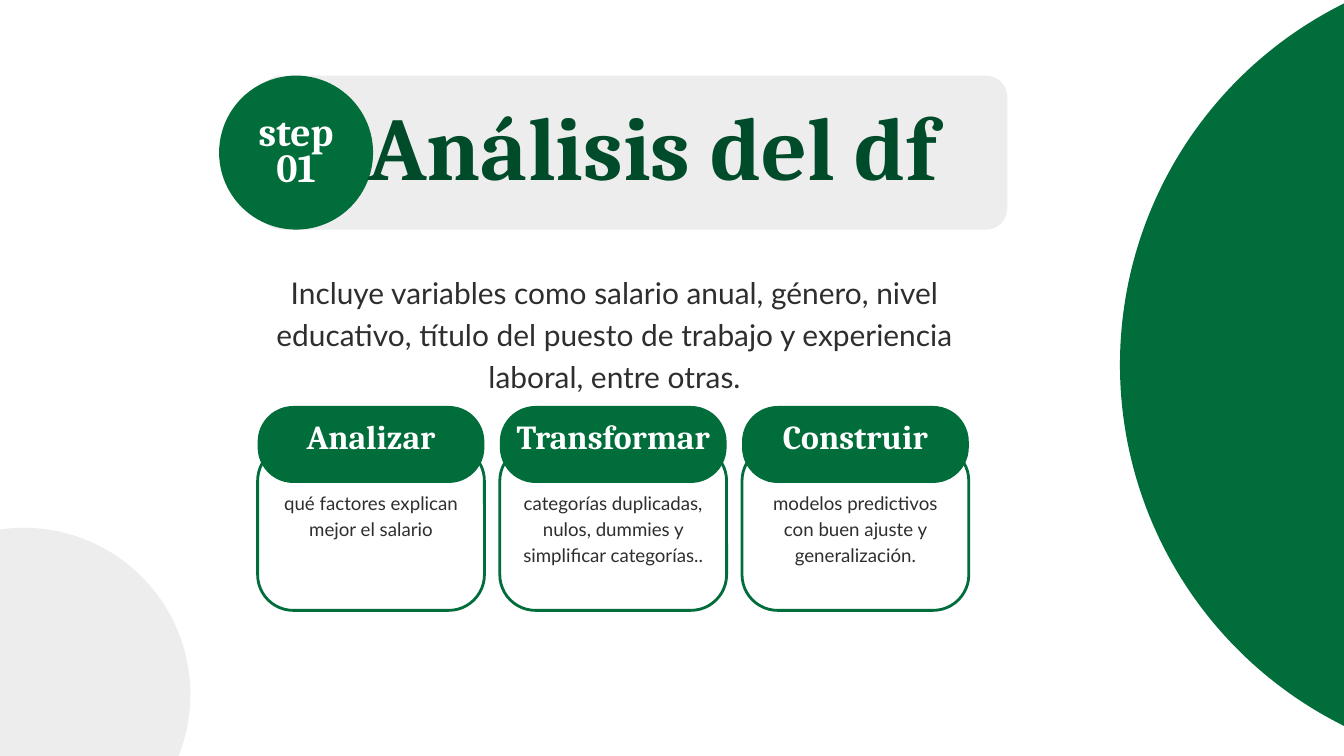
from pptx import Presentation
from pptx.dml.color import RGBColor
from pptx.enum.shapes import MSO_SHAPE as Shape
from pptx.enum.text import MSO_ANCHOR as Anchor, MSO_AUTO_SIZE as AutoSize, PP_ALIGN as Align
from pptx.util import Emu, Pt

STEP = "step 01"
TITLE = "Análisis del df"
INTRO = ("Incluye variables como salario anual, género, nivel educativo, "
         "título del puesto de trabajo y experiencia laboral, entre otras.")
CARDS = [
    {"heading": "Analizar", "detail": "qué factores explican mejor el salario", "measure": 251},
    {"heading": "Transformar", "detail": "categorías duplicadas, nulos, dummies y simplificar categorías..",
     "measure": 289},
    {"heading": "Construir", "detail": "modelos predictivos con buen ajuste y generalización.", "measure": 251},
]


class Theme:
    green, dark_green, grey, ink, white = "006D3B", "004B29", "EDEDED", "2E2E2E", "FFFFFF"
    serif, sans = "Cambria", "Lato"
    title = {"size": 96, "leading": 86.4, "color": dark_green, "font": serif, "bold": True}
    step = {"size": 42.6, "leading": 38.4, "color": white, "font": serif, "bold": True}
    heading = {"size": 36, "leading": 50.4, "color": white, "font": serif, "bold": True}
    intro = {"size": 32, "leading": 44.8, "color": ink, "font": sans}
    detail = {"size": 20, "leading": 28, "color": ink, "font": sans}
    outline = 3


EMU_PER_PX = 9525
CARD_LEFT, CARD_WIDTH, CARD_PITCH, CARD_RADIUS = 368, 324, 346, 51


def px(*lengths):
    return [Emu(round(length * EMU_PER_PX)) for length in lengths]


def add_panel(slide, kind, box, fill, radius=None, outline=None):
    panel = slide.shapes.add_shape(kind, *px(*box))
    panel.shadow.inherit = False
    panel.fill.solid()
    panel.fill.fore_color.rgb = RGBColor.from_string(fill)
    if radius:
        panel.adjustments[0] = min(0.5, radius / min(box[2:]))
    if outline:
        panel.line.color.rgb = RGBColor.from_string(outline)
        panel.line.width = Pt(Theme.outline)
    else:
        panel.line.fill.background()
    return panel


def write_text(slide, text, box, *, size, leading, color, font, bold=False,
               anchor=Anchor.TOP, holder=None):
    if holder is None:
        holder = slide.shapes.add_textbox(*px(*box))
    else:
        holder.left, holder.top, holder.width, holder.height = px(*box)
    frame = holder.text_frame
    frame.word_wrap = True
    frame.auto_size = AutoSize.NONE
    frame.vertical_anchor = anchor
    frame.margin_left = frame.margin_right = frame.margin_top = frame.margin_bottom = 0
    paragraph = frame.paragraphs[0]
    paragraph.text = text
    paragraph.alignment = Align.CENTER
    paragraph.space_before = Pt(0)
    paragraph.line_spacing = Pt(leading)
    paragraph.font.name = font
    paragraph.font.size = Pt(size)
    paragraph.font.bold = bold
    paragraph.font.color.rgb = RGBColor.from_string(color)


def add_header(slide):
    add_panel(slide, Shape.ROUNDED_RECTANGLE, (371, 108, 1068, 220), Theme.grey, radius=30)
    badge = add_panel(slide, Shape.OVAL, (313, 108, 220, 220), Theme.green)
    title = slide.shapes.title
    badge.element.addnext(title.element)
    write_text(slide, STEP, (353, 170, 140, 108), **Theme.step)
    write_text(slide, TITLE, (490, 168, 884, 127), holder=title, **Theme.title)


def add_card(slide, left, heading, detail, measure):
    add_panel(slide, Shape.ROUNDED_RECTANGLE, (left, 636, CARD_WIDTH, 236), Theme.white,
              radius=CARD_RADIUS, outline=Theme.green)
    write_text(slide, detail, (left + (CARD_WIDTH - measure) / 2, 697, measure, 148), **Theme.detail)
    add_panel(slide, Shape.ROUNDED_RECTANGLE, (left, 580, CARD_WIDTH, 110), Theme.green,
              radius=CARD_RADIUS)
    write_text(slide, heading, (left, 545, CARD_WIDTH, 145), anchor=Anchor.MIDDLE, **Theme.heading)


def main():
    deck = Presentation()
    deck.slide_width, deck.slide_height = px(1920, 1080)
    slide = deck.slides.add_slide(deck.slide_layouts[5])
    add_panel(slide, Shape.OVAL, (1600, -55, 1152, 1152), Theme.green)
    write_text(slide, INTRO, (371, 384, 1014, 234), **Theme.intro)
    add_header(slide)
    for index, card in enumerate(CARDS):
        add_card(slide, CARD_LEFT + index * CARD_PITCH, **card)
    add_panel(slide, Shape.OVAL, (-204, 754, 476, 476), Theme.grey)
    deck.save("out.pptx")


if __name__ == "__main__":
    main()
